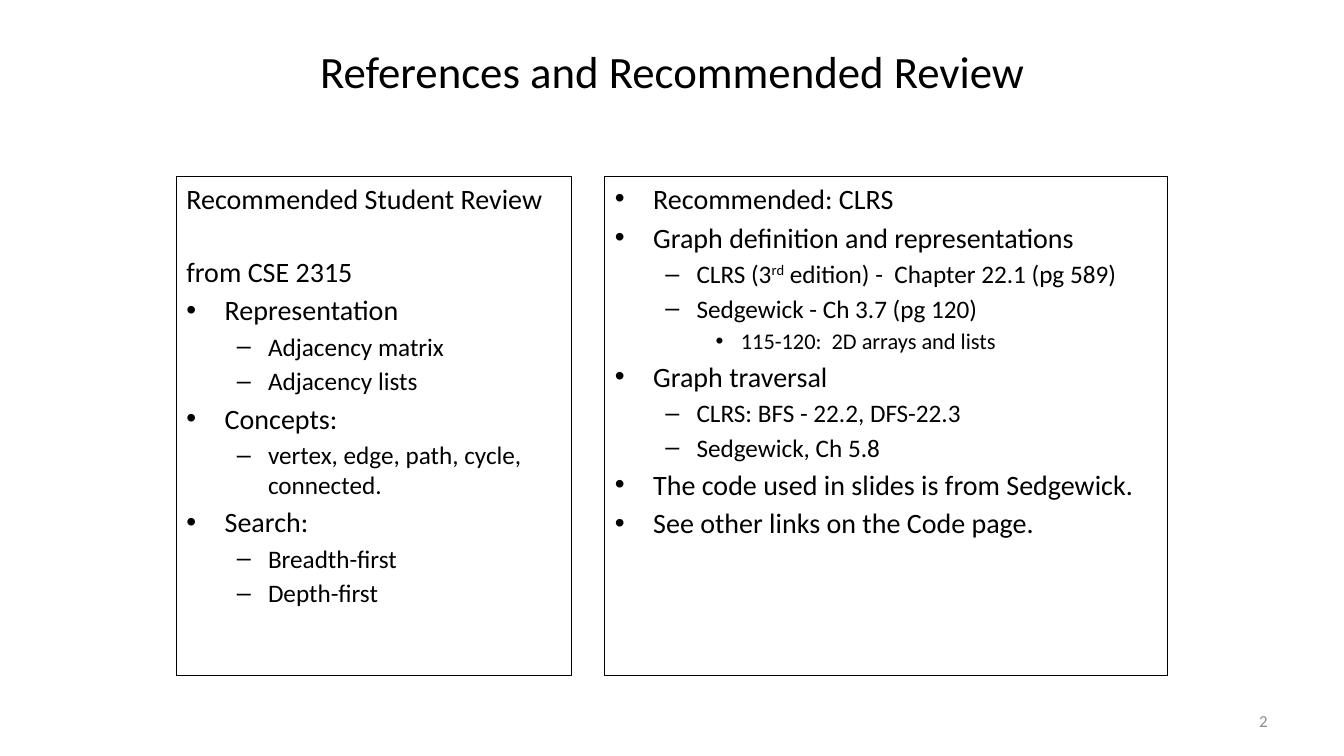
import pptx
import pptx.util
import pptx.dml.color
import pptx.enum.shapes
import pptx.enum.text
import pptx.oxml.ns
import lxml.etree

Inches = pptx.util.Inches
Pt = pptx.util.Pt
ALIGN = pptx.enum.text.PP_ALIGN
ANCHOR = pptx.enum.text.MSO_ANCHOR

COLORS = {"text": "000000", "page": "FFFFFF", "number": "8C8C8C"}
FONT = "Calibri"
TITLE = "References and Recommended Review"
PAGE_NUMBER = "2"

# Level: (size, left margin, hanging indent, bullet)
LEVELS = {
    "plain": (20, 0, 0, None),
    0: (20, 0.38, 0.38, "•"),
    1: (18, 0.81, 0.31, "–"),
    2: (16, 1.25, 0.25, "•"),
}
SPACE_RATIO = 0.18  # space before a paragraph, as a share of its text size
SECTION_GAP = 28    # space before the second heading line, in points

REVIEW = [
    ("plain", "Recommended Student Review"),
    ("plain", "from CSE 2315"),
    (0, "Representation"),
    (1, "Adjacency matrix"),
    (1, "Adjacency lists"),
    (0, "Concepts:"),
    (1, "vertex, edge, path, cycle, connected."),
    (0, "Search:"),
    (1, "Breadth-first"),
    (1, "Depth-first"),
]
# A tuple of texts alternates normal and superscript
REFERENCES = [
    (0, "Recommended: CLRS"),
    (0, "Graph definition and representations"),
    (1, ("CLRS (3", "rd", " edition) -  Chapter 22.1 (pg 589)")),
    (1, "Sedgewick - Ch 3.7 (pg 120)"),
    (2, "115-120:  2D arrays and lists"),
    (0, "Graph traversal"),
    (1, "CLRS: BFS - 22.2, DFS-22.3"),
    (1, "Sedgewick, Ch 5.8"),
    (0, "The code used in slides is from Sedgewick."),
    (0, "See other links on the Code page."),
]
PANEL_TOP, PANEL_HEIGHT = 1.75, 4.95
PANELS = [(1.75, 3.92, REVIEW), (6, 5.58, REFERENCES)]  # left, width, lines


def rgb(name):
    return pptx.dml.color.RGBColor.from_string(COLORS[name])


def format_run(run, size, color="text"):
    run.font.name = FONT
    run.font.size = Pt(size)
    run.font.color.rgb = rgb(color)


def add_label(slide, text, box, size, alignment, color="text"):
    frame = slide.shapes.add_textbox(*map(Inches, box)).text_frame
    frame.word_wrap = True
    frame.vertical_anchor = ANCHOR.MIDDLE
    frame.text = text
    paragraph = frame.paragraphs[0]
    paragraph.alignment = alignment
    format_run(paragraph.runs[0], size, color)


def set_bullet(paragraph, left, hanging, bullet):
    properties = paragraph._p.get_or_add_pPr()
    properties.set("marL", str(Inches(left)))
    properties.set("indent", str(-Inches(hanging)))
    if bullet:
        font = lxml.etree.SubElement(properties, pptx.oxml.ns.qn("a:buFont"))
        font.set("typeface", "Arial")
        mark = lxml.etree.SubElement(properties, pptx.oxml.ns.qn("a:buChar"))
        mark.set("char", bullet)


def add_panel(slide, left, width, lines):
    panel = slide.shapes.add_shape(
        pptx.enum.shapes.MSO_SHAPE.RECTANGLE,
        Inches(left), Inches(PANEL_TOP), Inches(width), Inches(PANEL_HEIGHT))
    panel.shadow.inherit = False
    panel.fill.background()
    panel.line.color.rgb = rgb("text")
    panel.line.width = Pt(0.75)
    frame = panel.text_frame
    frame.word_wrap = True
    frame.vertical_anchor = ANCHOR.TOP
    for index, (level, content) in enumerate(lines):
        paragraph = frame.paragraphs[0] if index == 0 else frame.add_paragraph()
        size, margin, hanging, bullet = LEVELS[level]
        set_bullet(paragraph, margin, hanging, bullet)
        paragraph.alignment = ALIGN.LEFT
        paragraph.level = 0 if level == "plain" else level
        if index:
            gap = SECTION_GAP if level == "plain" else size * SPACE_RATIO
            paragraph.space_before = Pt(gap)
        parts = (content,) if isinstance(content, str) else content
        for position, text in enumerate(parts):
            run = paragraph.add_run()
            run.text = text
            format_run(run, size)
            if position % 2:
                run._r.get_or_add_rPr().set("baseline", "30000")


def main():
    presentation = pptx.Presentation()
    presentation.slide_width = Inches(13.33)
    presentation.slide_height = Inches(7.5)
    slide = presentation.slides.add_slide(presentation.slide_layouts[6])
    slide.background.fill.solid()
    slide.background.fill.fore_color.rgb = rgb("page")
    add_label(slide, TITLE, (0.67, 0.08, 12, 1.25), 32, ALIGN.CENTER)
    for left, width, lines in PANELS:
        add_panel(slide, left, width, lines)
    add_label(slide, PAGE_NUMBER, (9.56, 6.95, 3.11, 0.4), 12, ALIGN.RIGHT, "number")
    presentation.save("out.pptx")


if __name__ == "__main__":
    main()
